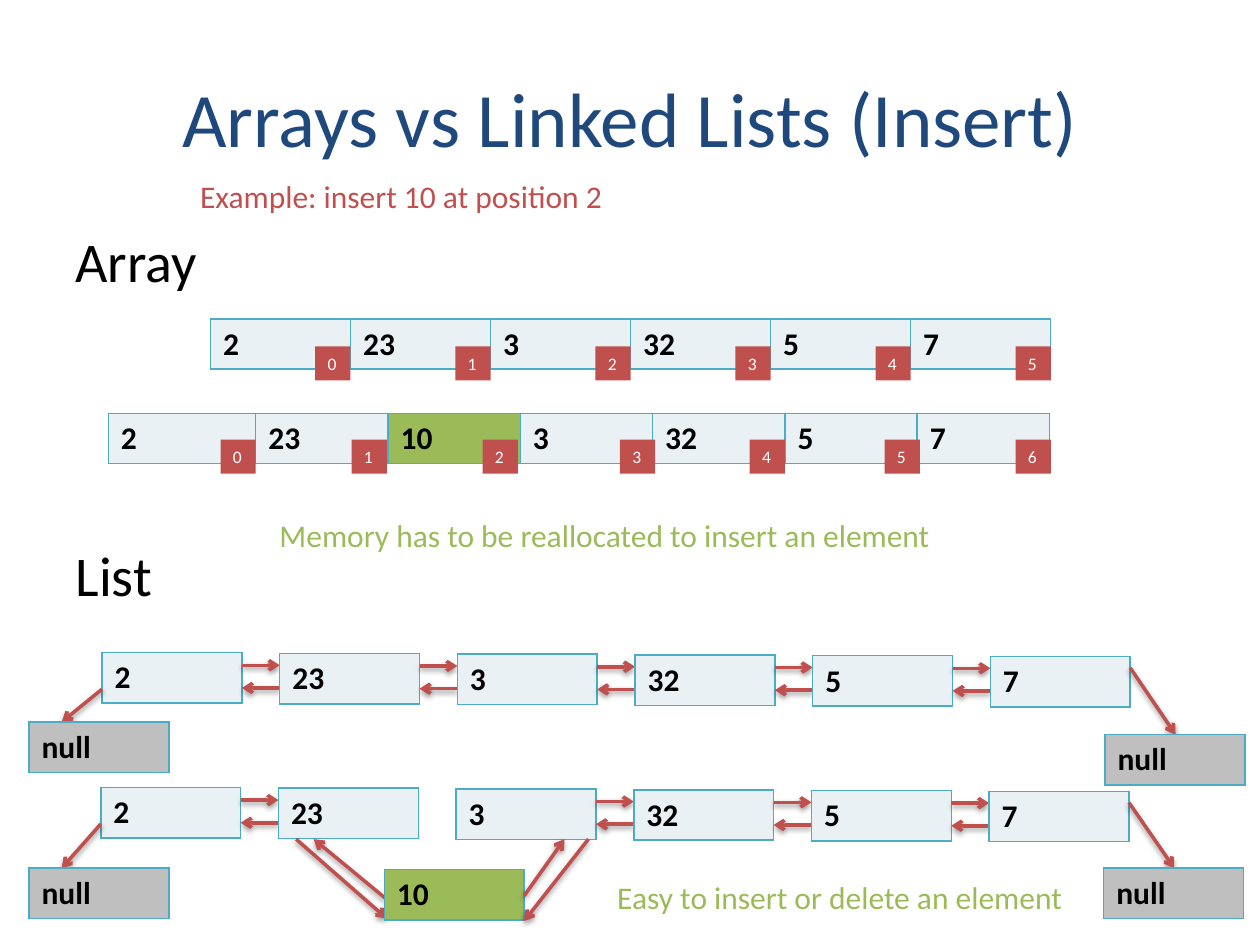
import pptx
import pptx.util
import pptx.dml.color
import pptx.enum.shapes
import pptx.enum.text
import pptx.oxml
import pptx.oxml.ns
from lxml import etree

Inches, Pt = pptx.util.Inches, pptx.util.Pt
RGBColor = pptx.dml.color.RGBColor

NAVY = RGBColor(0x1F, 0x49, 0x7D)
BLACK = RGBColor(0, 0, 0)
WHITE = RGBColor(255, 255, 255)
RED = RGBColor(0xC0, 0x50, 0x4D)
GREEN = RGBColor(0x9B, 0xBB, 0x59)
TEAL = RGBColor(0x4B, 0xAC, 0xC6)
PALE = RGBColor(0xE9, 0xF1, 0xF5)
GRAY = RGBColor(0xBF, 0xBF, 0xBF)

CELL_WIDTH, CELL_HEIGHT, BADGE_WIDTH = 1.11, 0.4, 0.28
NODE_PITCH, NODE_DRIFT = 1.41, 0.006
NEXT_OFFSET, PREVIOUS_OFFSET = 0.1, 0.28


class SlideBuilder:
    """Holds the font and the slide, and draws each kind of element."""

    font = "Calibri"

    def __init__(self, slide):
        self.slide = slide

    def format(self, paragraph, size, color, bold=False):
        for run in paragraph.runs:
            run.font.name = self.font
            run.font.size = Pt(size)
            run.font.color.rgb = color
            run.font.bold = bold

    def place(self, shape, left, top, width, height):
        shape.left, shape.top = Inches(left), Inches(top)
        shape.width, shape.height = Inches(width), Inches(height)

    def title(self, text, *box):
        heading = self.slide.shapes.title
        self.place(heading, *box)
        heading.text_frame.text = text
        heading.text_frame.vertical_anchor = pptx.enum.text.MSO_ANCHOR.MIDDLE
        heading.text_frame.paragraphs[0].alignment = pptx.enum.text.PP_ALIGN.CENTER
        self.format(heading.text_frame.paragraphs[0], 44, NAVY)

    def sections(self, names, gap, *box):
        body = self.slide.placeholders[1]
        self.place(body, *box)
        body.text_frame.text = "\n".join(names)
        for index, paragraph in enumerate(body.text_frame.paragraphs):
            if index:
                paragraph.space_before = Pt(gap)
            properties = paragraph._p.get_or_add_pPr()
            properties.set("marL", "0")
            properties.set("indent", "0")
            etree.SubElement(properties, pptx.oxml.ns.qn("a:buNone"))
            self.format(paragraph, 32, BLACK)

    def note(self, text, color, left, top, width):
        box = self.slide.shapes.add_textbox(
            Inches(left), Inches(top), Inches(width), Inches(0.4))
        box.text_frame.word_wrap = False
        box.text_frame.text = text
        self.format(box.text_frame.paragraphs[0], 18, color)

    def cells(self, left, top, values, widths, fills):
        table = self.slide.shapes.add_table(
            1, len(values), Inches(left), Inches(top),
            Inches(sum(widths)), Inches(CELL_HEIGHT)).table
        table.first_row = table.horz_banding = False
        for index, (value, width, fill) in enumerate(zip(values, widths, fills)):
            table.columns[index].width = Inches(width)
            cell = table.cell(0, index)
            cell.text_frame.text = value
            self.format(cell.text_frame.paragraphs[0], 18, BLACK, bold=True)
            for side in ("lnL", "lnR", "lnT", "lnB"):
                cell._tc.get_or_add_tcPr().append(pptx.oxml.parse_xml(
                    f'<a:{side} {pptx.oxml.ns.nsdecls("a")} w="12700"><a:solidFill>'
                    f'<a:srgbClr val="{TEAL}"/></a:solidFill></a:{side}>'))
            cell.fill.solid()
            cell.fill.fore_color.rgb = fill

    def node(self, value, left, top, fill=PALE):
        self.cells(left, top, [value], [CELL_WIDTH], [fill])

    def badges(self, lefts, top):
        for index, left in enumerate(lefts):
            badge = self.slide.shapes.add_shape(
                pptx.enum.shapes.MSO_SHAPE.RECTANGLE,
                Inches(left), Inches(top), Inches(BADGE_WIDTH), Inches(0.27))
            badge.shadow.inherit = False
            badge.fill.solid()
            badge.fill.fore_color.rgb = RED
            badge.line.fill.background()
            frame = badge.text_frame
            frame.text = str(index)
            frame.vertical_anchor = pptx.enum.text.MSO_ANCHOR.TOP
            frame.paragraphs[0].alignment = pptx.enum.text.PP_ALIGN.LEFT
            self.format(frame.paragraphs[0], 10, WHITE)

    def arrow(self, x1, y1, x2, y2):
        pointer = self.slide.shapes.add_connector(
            pptx.enum.shapes.MSO_CONNECTOR.STRAIGHT,
            Inches(x1), Inches(y1), Inches(x2), Inches(y2))
        pointer.line.color.rgb = RED
        pointer.line.width = Pt(2)
        etree.SubElement(pointer.line._get_or_add_ln(),
                         pptx.oxml.ns.qn("a:tailEnd"), type="arrow")
        pointer._element.spPr.append(pptx.oxml.parse_xml(
            f'<a:effectLst {pptx.oxml.ns.nsdecls("a")}>'
            '<a:outerShdw blurRad="40000" dist="20000" dir="5400000" rotWithShape="0">'
            '<a:srgbClr val="000000"><a:alpha val="38000"/></a:srgbClr>'
            '</a:outerShdw></a:effectLst>'))

    def linked_list(self, left, top, values, null_top, end_null_top, broken_gap=None):
        """Draws nodes, the arrows both ways between them and a null at each end."""
        for index, value in enumerate(values):
            x, y = left + NODE_PITCH * index, top + NODE_DRIFT * index
            self.node(value, x, y)
            right, following = x + CELL_WIDTH, x + NODE_PITCH
            if index < len(values) - 1 and index != broken_gap:
                self.arrow(right, y + NEXT_OFFSET, following, y + NEXT_OFFSET)
                self.arrow(following, y + PREVIOUS_OFFSET, right, y + PREVIOUS_OFFSET)
        self.arrow(left, top + 0.29, 0.49, null_top)
        self.node("null", 0.23, null_top, GRAY)
        self.arrow(right, top + 0.12, right + 0.36, end_null_top)
        self.node("null", right - 0.2, end_null_top, GRAY)


presentation = pptx.Presentation()
presentation.slide_width, presentation.slide_height = Inches(10), Inches(7.5)
builder = SlideBuilder(presentation.slides.add_slide(presentation.slide_layouts[1]))

# Headings
builder.title("Arrays vs Linked Lists (Insert)", 0.5, 0.3, 9, 1.25)
builder.sections(["Array", "List"], 141, 0.5, 1.75, 9, 4.95)
builder.note("Example: insert 10 at position 2", RED, 1.49, 1.36, 3.43)

# Array before and after the insertion
numbers = ["2", "23", "3", "32", "5", "7"]
array_left, array_cell = 1.67, 6.67 / len(numbers)
builder.cells(array_left, 2.53, numbers, [array_cell] * 6, [PALE] * 6)
builder.badges([array_left + array_cell * (i + 1) - BADGE_WIDTH for i in range(6)], 2.75)

builder.cells(0.86, 3.28, numbers[:2] + ["10"] + numbers[2:], [1.17] + [1.05] * 6,
              [PALE] * 2 + [GREEN] + [PALE] * 4)
builder.badges([1.75, 2.79, 3.83, 4.92, 5.95, 7.02, 8.06], 3.49)
builder.note("Memory has to be reallocated to insert an element", GREEN, 2.12, 4.05, 5.43)

# List before and after the insertion
builder.linked_list(0.81, 5.18, numbers, 5.73, 5.83)
builder.linked_list(0.8, 6.25, numbers, 6.89, 6.89, broken_gap=1)

# Inserted node and its links
builder.arrow(2.35, 6.66, 3.07, 7.29)
builder.arrow(3.06, 7.13, 2.49, 6.66)
builder.node("10", 3.05, 6.9, GREEN)
builder.arrow(4.16, 7.11, 4.48, 6.66)
builder.arrow(4.67, 6.66, 4.16, 7.31)
builder.note("Easy to insert or delete an element", GREEN, 4.8, 6.92, 3.79)

presentation.save("out.pptx")
